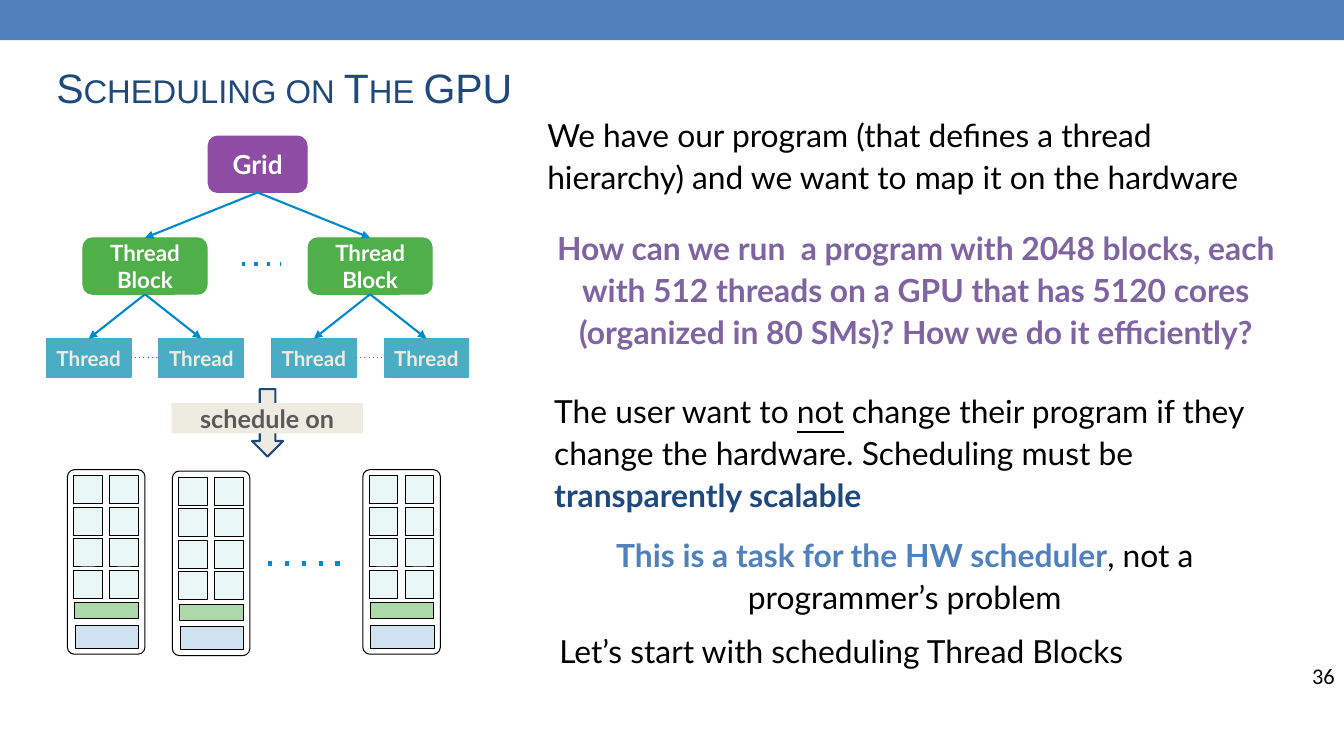
from lxml import etree
from pptx import Presentation
from pptx import util as u
from pptx.dml.color import RGBColor
from pptx.enum import shapes, text
from pptx.oxml import ns

COLORS = {
    "banner": "4F80BC", "navy": "1F497D", "black": "000000", "white": "FFFFFF",
    "question": "8064A2", "scheduler": "4F81BD", "thread": "4BACC6", "cream": "EEECE1",
    "edge": "0089CF", "block": "4FAF48", "grid": "8E4DA4", "core": "B7E5DF",
    "cache": "247EBA", "label": "595959",
}
RECT = shapes.MSO_SHAPE.RECTANGLE
ROUNDED = shapes.MSO_SHAPE.ROUNDED_RECTANGLE
LEFT, CENTER, RIGHT = text.PP_ALIGN.LEFT, text.PP_ALIGN.CENTER, text.PP_ALIGN.RIGHT

presentation = Presentation()
presentation.slide_width, presentation.slide_height = u.Pt(960), u.Pt(540)
slide = presentation.slides.add_slide(presentation.slide_layouts[6])


def add_box(kind, left, top, width, height, fill, line=None, weight=0.75, opacity=100,
            label="", size=16, color="white", inset=9.4):
    shape = slide.shapes.add_shape(kind, u.Pt(left), u.Pt(top), u.Pt(width), u.Pt(height))
    shape.shadow.inherit = False
    shape.fill.solid()
    shape.fill.fore_color.rgb = RGBColor.from_string(COLORS[fill])
    if opacity < 100:
        tint = shape.element.spPr.find(ns.qn("a:solidFill"))[0]
        etree.SubElement(tint, ns.qn("a:alpha")).set("val", str(opacity * 1000))
    if line:
        shape.line.color.rgb = RGBColor.from_string(COLORS[line])
        shape.line.width = u.Pt(weight)
    else:
        shape.line.fill.background()
    if label:
        frame = shape.text_frame
        frame.word_wrap = True
        frame.vertical_anchor = text.MSO_ANCHOR.MIDDLE
        frame.margin_left = frame.margin_right = u.Pt(inset)
        frame.margin_top = frame.margin_bottom = 0
        paragraph = frame.paragraphs[0]
        paragraph.text = label
        paragraph.alignment = CENTER
        paragraph.font.name, paragraph.font.size, paragraph.font.bold = "Lato", u.Pt(size), True
        paragraph.font.color.rgb = RGBColor.from_string(COLORS[color])
    return shape


def add_line(x1, y1, x2, y2, weight, ending, **attributes):
    connector = slide.shapes.add_connector(
        shapes.MSO_CONNECTOR.STRAIGHT, u.Pt(x1), u.Pt(y1), u.Pt(x2), u.Pt(y2))
    connector.line.color.rgb = RGBColor.from_string(COLORS["edge"])
    connector.line.width = u.Pt(weight)
    properties = connector.element.spPr
    etree.SubElement(properties.find(ns.qn("a:ln")), ns.qn(ending), attributes)
    etree.SubElement(properties, ns.qn("a:effectLst"))


add_box(RECT, 0, 0, 960, 28.8, "banner")

texts = [
    (33.1, 31, 838.8, 56.2, LEFT, "Arial", 29.3, [("Scheduling on The GPU", "navy", False)]),
    (383.8, 72.7, 540.7, 56.2, LEFT, "Lato", 22.7, [
        ("We have our program (that defines a thread hierarchy) and we want to map it "
         "on the hardware", "black", False)]),
    (383.8, 153.4, 540.7, 56.2, CENTER, "Lato", 22.7, [
        ("How can we run  a program with 2048 blocks, each with 512 threads on a GPU that has "
         "5120 cores (organized in 80 SMs)? How we do it efficiently?", "question", True)]),
    (388.8, 270, 510.5, 56.2, LEFT, "Lato", 22.7, [
        ("The user want to ", "black", False), ("not", "black", False),
        (" change their program if they change the hardware. Scheduling must be ",
         "black", False),
        ("transparently scalable", "navy", True)]),
    (391, 373, 510.5, 56.2, CENTER, "Lato", 22.7, [
        ("This is a task for the HW scheduler", "scheduler", True),
        (", not a programmer’s problem", "black", False)]),
    (392.4, 441.4, 510.5, 56.2, LEFT, "Lato", 22.7, [
        ("Let’s start with scheduling Thread Blocks", "black", False)]),
    (902.9, 465.8, 57.6, 33.1, RIGHT, "Calibri", 16, [("36", "black", False)]),
]
for left, top, width, height, alignment, font, size, runs in texts:
    box = slide.shapes.add_textbox(u.Pt(left), u.Pt(top), u.Pt(width), u.Pt(height))
    frame = box.text_frame
    frame.word_wrap = True
    frame.margin_left = frame.margin_right = u.Pt(7.2)
    frame.margin_top = frame.margin_bottom = u.Pt(7.2)
    paragraph = frame.paragraphs[0]
    paragraph.alignment = alignment
    paragraph.font.name, paragraph.font.size = font, u.Pt(size)
    if font == "Lato":
        paragraph.line_spacing = 1.1
        paragraph.space_before = u.Pt(8)
    for words, color, bold in runs:
        run = paragraph.add_run()
        run.text = words
        run.font.bold = bold
        run.font.color.rgb = RGBColor.from_string(COLORS[color])
        if words == "not":
            run.font.underline = True
    if font == "Arial":
        frame.vertical_anchor = text.MSO_ANCHOR.BOTTOM
        for properties in box.element.xpath(".//a:rPr"):
            properties.set("cap", "small")

grid_x = 184
add_box(ROUNDED, grid_x - 35.3, 97.2, 70.6, 40.3, "grid", "grid", label="Grid", size=18.7)
for block_x in (grid_x - 80.4, grid_x + 80.4):
    add_box(ROUNDED, block_x - 44.3, 169.9, 88.6, 40.3, "block", "block", label="Thread Block")
    add_line(grid_x, 137.5, block_x, 169.9, 1.5, "a:tailEnd", type="triangle")
    for thread_x in (block_x - 40.2, block_x + 40.2):
        add_box(RECT, thread_x - 30.25, 241.9, 60.5, 27.4, "thread", "thread",
                label="Thread", size=14.7, color="cream", inset=5.8)
        add_line(block_x, 210.2, thread_x, 241.9, 1.5, "a:tailEnd", type="triangle")
    add_line(block_x - 9.95, 255.6, block_x + 9.95, 255.6, 0.75, "a:prstDash", val="dot")
add_line(172.8, 188.6, 200.2, 188.6, 2.25, "a:prstDash", val="dot")

add_box(shapes.MSO_SHAPE.DOWN_ARROW, 180, 278, 22.3, 48.2, "cream", "navy", 1.5)
add_box(RECT, 122.4, 288, 136.8, 21.6, "cream", label="schedule on", size=18,
        color="label", inset=0)

for left, top in ((48.2, 335.5), (123.1, 336.5), (259.2, 335.5)):
    processor = add_box(ROUNDED, left, top, 55.4, 131.8, "white", "black")
    processor.adjustments[0] = 0.09
    for row in range(4):
        for column in range(2):
            add_box(RECT, left + 4.6 + 25.7 * column, top + 4.3 + 22.5 * row, 20.2, 20.2,
                    "core", "black", opacity=30)
    add_box(RECT, left + 5.2, top + 95, 45.4, 11.5, "block", "black", opacity=47)
    add_box(RECT, left + 5.7, top + 111, 45.4, 16.6, "cache", "black", opacity=22)
add_line(191.5, 402.5, 246.2, 402.5, 3, "a:prstDash", val="dot")

presentation.save("out.pptx")
